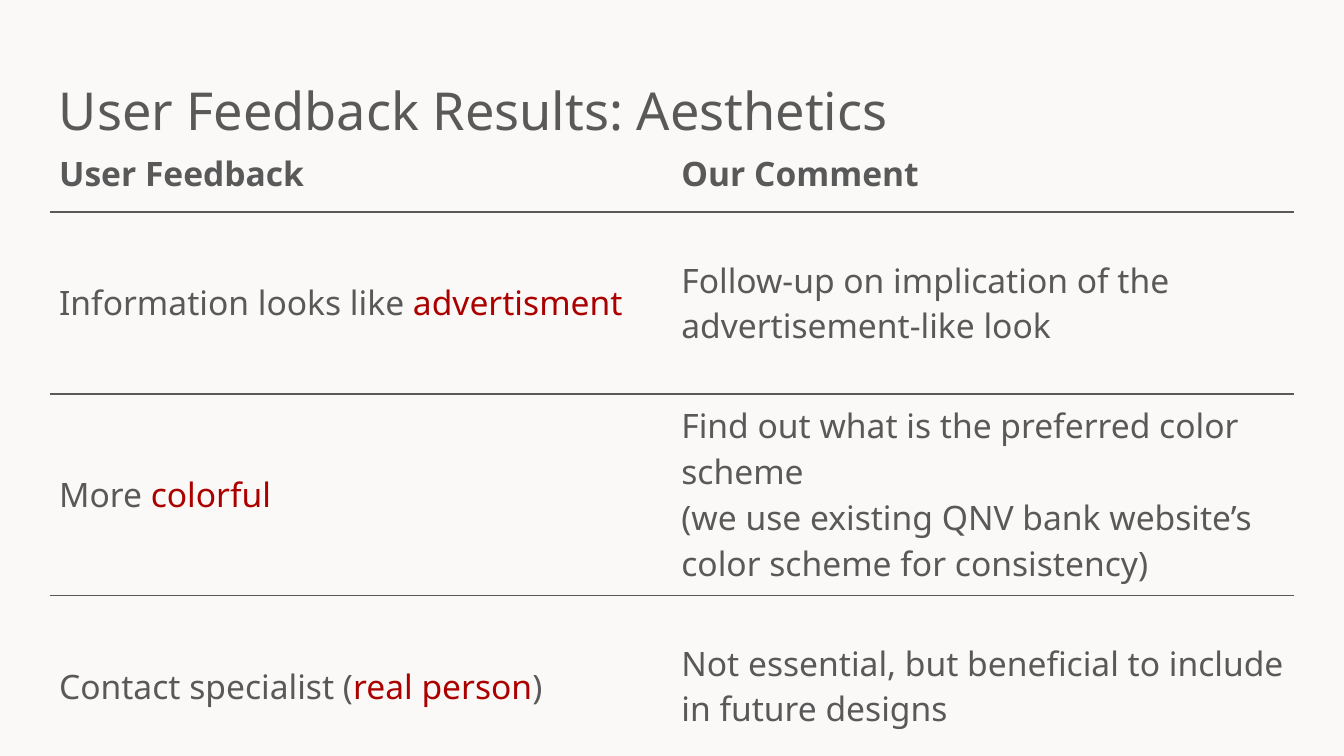
import pptx
import pptx.dml.color
import pptx.enum.text
import pptx.oxml
import pptx.oxml.ns
import pptx.util
from dataclasses import dataclass

Inches = pptx.util.Inches


@dataclass(frozen=True)
class Theme:
    font: str = "Noto Sans"
    background: str = "FBF9F7"
    ink: str = "595959"
    accent: str = "AB0000"
    title_size: int = 28
    body_size: int = 18
    rule_width: int = 1
    title_inset: float = 0.1
    cell_inset: float = 0.07


THEME = Theme()

HEADER = ("User Feedback", "Our Comment")
# A cell is a list of paragraphs; text between asterisks is highlighted.
FEEDBACK = [
    (["Information looks like *advertisment*"],
     ["Follow-up on implication of the advertisement-like look"]),
    (["More *colorful*"],
     ["Find out what is the preferred color scheme",
      "(we use existing QNV bank website’s color scheme for consistency)"]),
    (["Contact specialist (*real person*)"],
     ["Not essential, but beneficial to include in future designs"]),
]


def rgb(color):
    return pptx.dml.color.RGBColor.from_string(color)


def write_text(frame, paragraphs, size=THEME.body_size, bold=False):
    """Fill a text frame, colouring the parts between asterisks."""
    frame.word_wrap = True
    for index, text in enumerate(paragraphs):
        paragraph = frame.paragraphs[0] if index == 0 else frame.add_paragraph()
        for part, words in enumerate(text.split("*")):
            if not words:
                continue
            run = paragraph.add_run()
            run.text = words
            run.font.name = THEME.font
            run.font.size = pptx.util.Pt(size)
            run.font.bold = bold
            run.font.color.rgb = rgb(THEME.accent if part % 2 else THEME.ink)


def set_insets(holder, inset):
    for side in ("left", "top", "right", "bottom"):
        setattr(holder, f"margin_{side}", Inches(inset))


def set_borders(cell, ruled_sides):
    """Rule the given sides (of L, R, T, B) and clear the others."""
    properties = cell._tc.get_or_add_tcPr()
    namespace = pptx.oxml.ns.nsdecls("a")
    width = pptx.util.Pt(THEME.rule_width)
    for index, side in enumerate("LRTB"):
        fill = "<a:noFill/>"
        if side in ruled_sides:
            fill = f'<a:solidFill><a:srgbClr val="{THEME.ink}"/></a:solidFill>'
        properties.insert(index, pptx.oxml.parse_xml(
            f'<a:ln{side} {namespace} w="{width}">{fill}</a:ln{side}>'))


def add_title(slide, left, top, width, height, text):
    box = slide.shapes.add_textbox(*map(Inches, (left, top, width, height)))
    frame = box.text_frame
    set_insets(frame, THEME.title_inset)
    frame.vertical_anchor = pptx.enum.text.MSO_ANCHOR.MIDDLE
    write_text(frame, [text], size=THEME.title_size)


def add_feedback_table(slide, left, top, width, heights):
    rows = [tuple([label] for label in HEADER)] + FEEDBACK
    table = slide.shapes.add_table(
        len(rows), len(HEADER),
        *map(Inches, (left, top, width, sum(heights)))).table
    table.first_row = False
    table.horz_banding = False
    for column in table.columns:
        column.width = Inches(width / len(HEADER))

    for row_index, row in enumerate(rows):
        table.rows[row_index].height = Inches(heights[row_index])
        # Rules run only between rows
        sides = ("T" if row_index > 0 else "") + (
            "B" if row_index < len(rows) - 1 else "")
        for column_index, paragraphs in enumerate(row):
            cell = table.cell(row_index, column_index)
            cell.fill.background()
            set_borders(cell, sides)
            set_insets(cell, THEME.cell_inset)
            cell.vertical_anchor = pptx.enum.text.MSO_ANCHOR.MIDDLE
            write_text(cell.text_frame, paragraphs, bold=row_index == 0)


def main():
    presentation = pptx.Presentation()
    # Widescreen, 16 by 9
    presentation.slide_width = Inches(10)
    presentation.slide_height = Inches(10) * 9 // 16
    slide = presentation.slides.add_slide(presentation.slide_layouts[6])
    slide.background.fill.solid()
    slide.background.fill.fore_color.rgb = rgb(THEME.background)

    # Title
    add_title(slide, 0.34, 0.5, 9.32, 0.63, "User Feedback Results: Aesthetics")
    # Feedback and comments; the four-line row is taller
    add_feedback_table(slide, 0.37, 1.01, 9.26, (0.57, 1.35, 1.5, 1.35))

    presentation.save("out.pptx")


if __name__ == "__main__":
    main()
